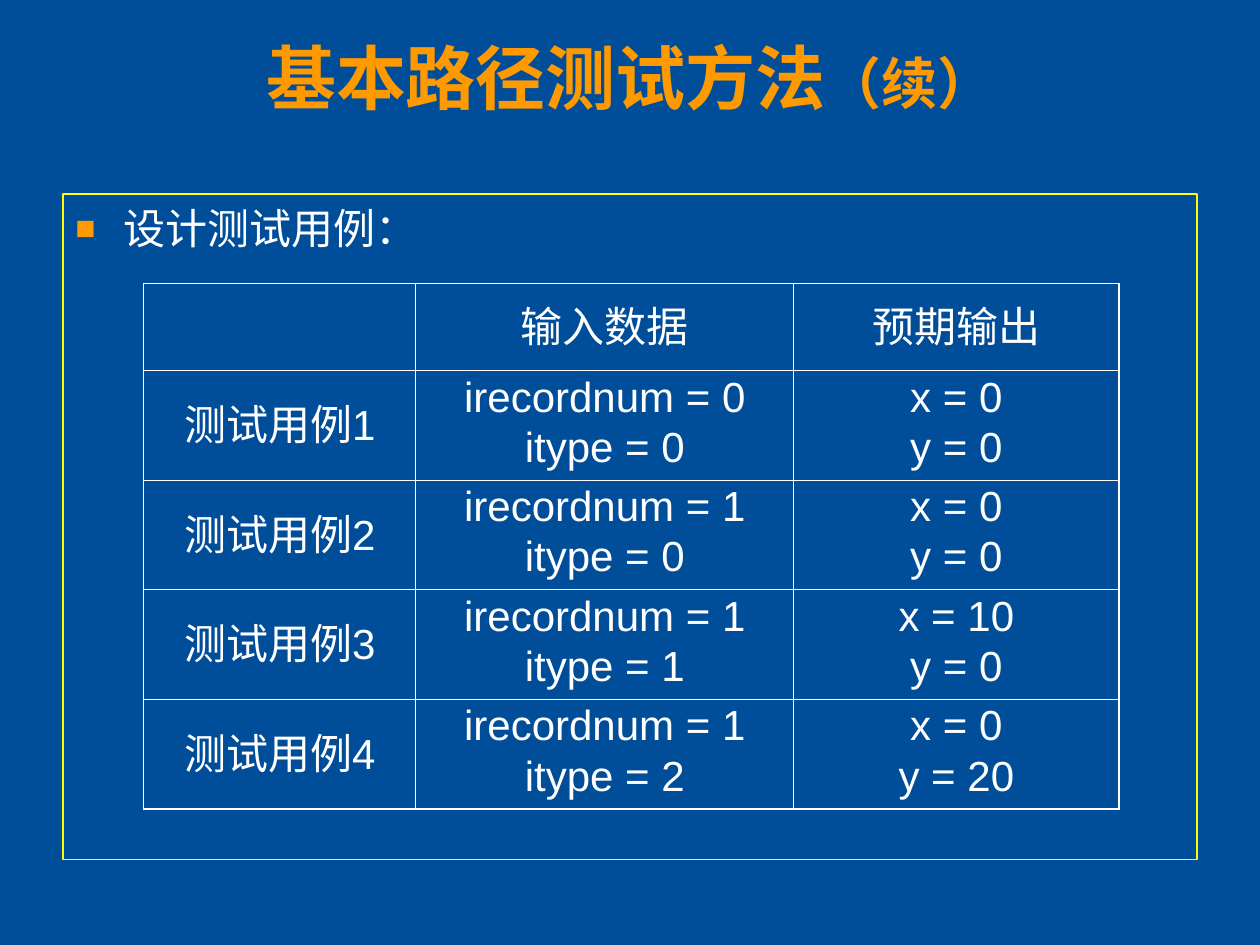
from lxml.etree import SubElement
from pptx import Presentation
from pptx.dml.color import RGBColor
from pptx.enum.shapes import MSO_SHAPE
from pptx.enum.text import MSO_ANCHOR, PP_ALIGN
from pptx.oxml.ns import qn
from pptx.util import Inches, Pt

BACKGROUND, ORANGE, WHITE, YELLOW = "004D99", "FF9900", "FFFFFF", "FFFF00"
COLUMN_WIDTHS = [2.16, 3, 2.58]
ROW_HEIGHTS = [0.69] + [0.87] * 4
TEST_CASES = [(0, 0, 0, 0), (1, 0, 0, 0), (1, 1, 10, 0), (1, 2, 0, 20)]


def color(value):
    return RGBColor.from_string(value)


def apply(target, values):
    for name, value in values.items():
        setattr(target, name, value)


def add_run(paragraph, text, size, text_color, bold=False):
    run = paragraph.add_run()
    run.text = text
    apply(run.font, {"name": "Arial", "size": Pt(size), "bold": bold})
    run.font.color.rgb = color(text_color)


def add_title(slide):
    box = slide.shapes.add_textbox(Inches(0.25), Inches(0.33), Inches(9.5), Inches(0.75))
    apply(box.text_frame, {
        "word_wrap": True,
        "margin_left": Inches(0.04), "margin_right": Inches(0.04),
        "margin_top": Inches(0.05), "margin_bottom": Inches(0.05),
    })
    paragraph = box.text_frame.paragraphs[0]
    apply(paragraph, {"alignment": PP_ALIGN.CENTER, "line_spacing": 0.85})
    add_run(paragraph, "基本路径测试方法", 40, ORANGE, True)
    add_run(paragraph, "（续）", 32, ORANGE, True)


def add_border(cell, side, width):
    properties = cell._tc.get_or_add_tcPr()
    line = SubElement(properties, qn(f"a:ln{side}"), w=str(Pt(width)))
    fill = SubElement(line, qn("a:solidFill"))
    SubElement(fill, qn("a:srgbClr"), val=WHITE)


def fill_cell(cell, lines, outer_sides):
    for side, is_outer in outer_sides.items():
        add_border(cell, side, 1.08 if is_outer else 0.45)
    cell.fill.background()
    cell.vertical_anchor = MSO_ANCHOR.MIDDLE
    for index, text in enumerate(lines):
        frame = cell.text_frame
        paragraph = frame.add_paragraph() if index else frame.paragraphs[0]
        apply(paragraph, {
            "alignment": PP_ALIGN.CENTER,
            "line_spacing": 0.85,
            "space_before": Pt(6 if index else 0),
        })
        add_run(paragraph, text, 24, WHITE)


def add_case_table(slide):
    rows = [([], ["输入数据"], ["预期输出"])]
    for number, (record, kind, x, y) in enumerate(TEST_CASES, 1):
        rows.append((
            [f"测试用例{number}"],
            [f"irecordnum = {record}", f"itype = {kind}"],
            [f"x = {x}", f"y = {y}"],
        ))
    last_row, last_column = len(rows) - 1, len(COLUMN_WIDTHS) - 1
    table = slide.shapes.add_table(
        len(rows), len(COLUMN_WIDTHS), Inches(1.14), Inches(2.25),
        Inches(sum(COLUMN_WIDTHS)), Inches(sum(ROW_HEIGHTS))).table
    apply(table, {"first_row": False, "horz_banding": False})
    for column, width in zip(table.columns, COLUMN_WIDTHS):
        column.width = Inches(width)
    for row, height in zip(table.rows, ROW_HEIGHTS):
        row.height = Inches(height)
    for i, row in enumerate(rows):
        for j, lines in enumerate(row):
            outer_sides = {"L": j == 0, "R": j == last_column, "T": i == 0, "B": i == last_row}
            fill_cell(table.cell(i, j), lines, outer_sides)


def add_bullet(paragraph):
    properties = paragraph._p.get_or_add_pPr()
    properties.set("marL", str(Inches(0.38)))
    properties.set("indent", str(Inches(-0.38)))
    bullet_color = SubElement(properties, qn("a:buClr"))
    SubElement(bullet_color, qn("a:srgbClr"), val=ORANGE)
    SubElement(properties, qn("a:buSzPct"), val="80000")
    SubElement(properties, qn("a:buFont"), typeface="Arial")
    SubElement(properties, qn("a:buChar"), char="■")


def add_body_frame(slide):
    shape = slide.shapes.add_shape(
        MSO_SHAPE.RECTANGLE, Inches(0.5), Inches(1.54), Inches(9), Inches(5.28))
    shape.shadow.inherit = False
    shape.fill.background()
    shape.line.color.rgb = color(YELLOW)
    shape.line.width = Pt(0.75)
    apply(shape.text_frame, {"word_wrap": True, "vertical_anchor": MSO_ANCHOR.TOP})
    paragraph = shape.text_frame.paragraphs[0]
    add_bullet(paragraph)
    apply(paragraph, {"alignment": PP_ALIGN.LEFT, "line_spacing": 1.05})
    add_run(paragraph, "设计测试用例：", 24, WHITE)


def main():
    presentation = Presentation()
    apply(presentation, {"slide_width": Inches(10), "slide_height": Inches(7.5)})
    slide = presentation.slides.add_slide(presentation.slide_layouts[6])
    slide.background.fill.solid()
    slide.background.fill.fore_color.rgb = color(BACKGROUND)
    add_title(slide)
    add_case_table(slide)
    add_body_frame(slide)
    presentation.save("out.pptx")


if __name__ == "__main__":
    main()
